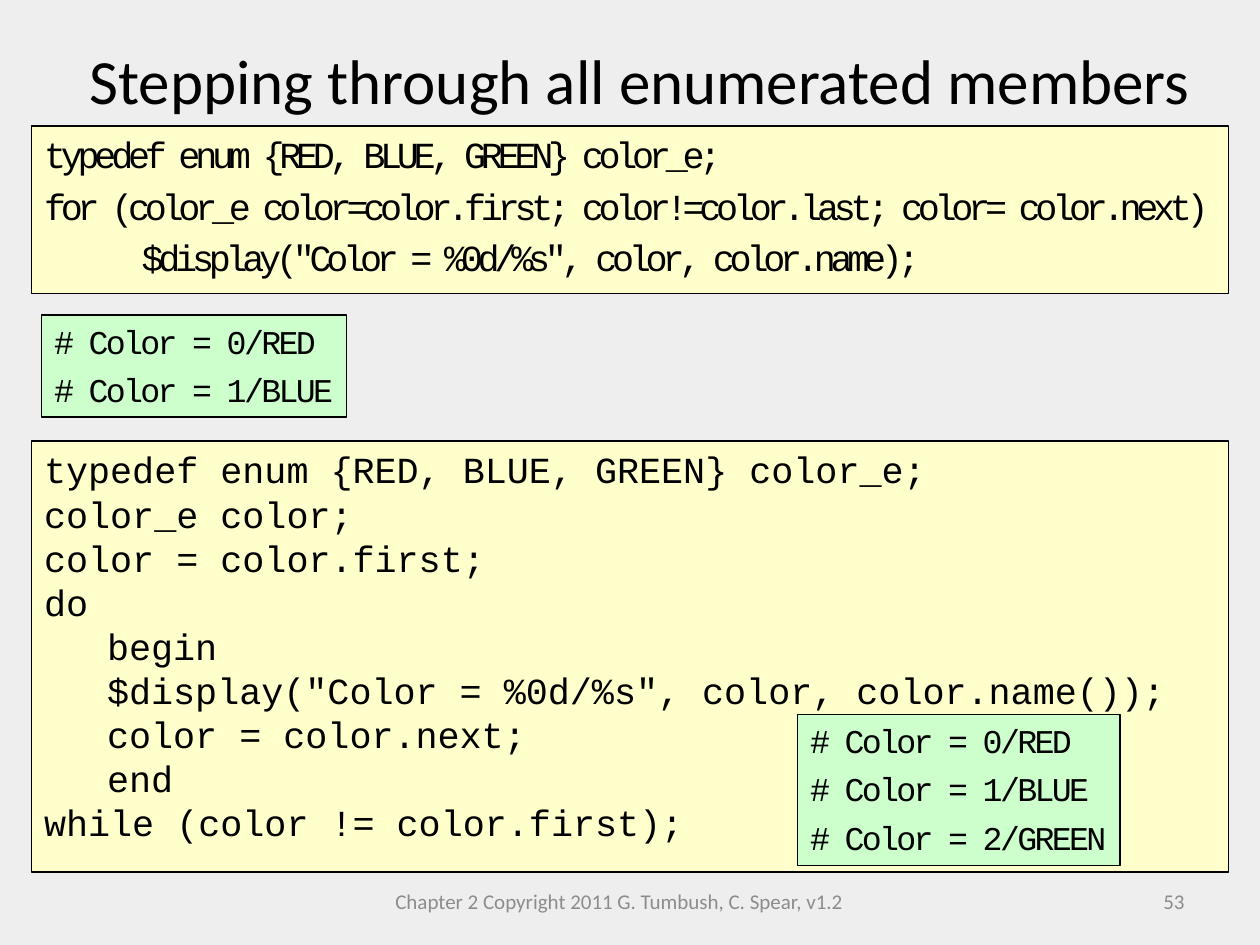
from pptx import Presentation
from pptx.dml.color import RGBColor
from pptx.enum import shapes, text
from pptx.util import Cm, Pt

COLORS = {
    "background": "EEEEEE",
    "code": "FFFFCC",
    "output": "CCFFCC",
    "ink": "000000",
    "footer": "8C8C8C",
}
CODE_FONT = "Courier New"
TEXT_FONT = "Calibri"
ENUM_LINE = "typedef enum {RED, BLUE, GREEN} color_e;"
FOR_LOOP = [
    ENUM_LINE,
    "for (color_e color=color.first; color!=color.last; color= color.next)",
    "\t   $display(\"Color = %0d/%s\", color, color.name);",
]
DO_LOOP = [
    (ENUM_LINE, 0),
    ("color_e color;", 0),
    ("color = color.first;", 0),
    ("do", 0),
    ("begin", 1),
    ("$display(\"Color = %0d/%s\", color, color.name());", 1),
    ("color = color.next;", 1),
    ("end", 1),
    ("while (color != color.first);", 0),
]
OUTPUT = ["# Color = 0/RED", "# Color = 1/BLUE", "# Color = 2/GREEN"]


def color(name):
    return RGBColor.from_string(COLORS[name])


def add_run(paragraph, words, size, font=TEXT_FONT, ink="ink", tracking=0):
    run = paragraph.add_run()
    run.text = words
    run.font.name = font
    run.font.size = Pt(size)
    run.font.color.rgb = color(ink)
    if tracking:
        run._r.get_or_add_rPr().set("spc", str(int(tracking * 100)))


def set_title(slide, words):
    title = slide.shapes.title
    title.left, title.top, title.width, title.height = Cm(1.47), Cm(0), Cm(22.86), Cm(3.18)
    frame = title.text_frame
    frame.auto_size = text.MSO_AUTO_SIZE.NONE
    frame.vertical_anchor = text.MSO_ANCHOR.MIDDLE
    paragraph = frame.paragraphs[0]
    paragraph.alignment = text.PP_ALIGN.CENTER
    add_run(paragraph, words, 36)


def add_panel(slide, left, top, width, height, fill):
    panel = slide.shapes.add_shape(
        shapes.MSO_SHAPE.RECTANGLE, Cm(left), Cm(top), Cm(width), Cm(height))
    panel.shadow.inherit = False
    panel.fill.solid()
    panel.fill.fore_color.rgb = color(fill)
    panel.line.color.rgb = color("ink")
    panel.line.width = Pt(0.75)
    frame = panel.text_frame
    frame.word_wrap = True
    frame.vertical_anchor = text.MSO_ANCHOR.TOP
    return frame


def add_lines(frame, lines, size, tracking=0, gap=0, hanging=0):
    for index, (words, level) in enumerate(lines):
        paragraph = frame.add_paragraph() if index else frame.paragraphs[0]
        paragraph.alignment = text.PP_ALIGN.LEFT
        paragraph.level = level
        paragraph.space_before = Pt(gap if index else 0)
        properties = paragraph._p.get_or_add_pPr()
        properties.set("marL", str(Cm(1.27 * level + hanging)))
        properties.set("indent", str(-Cm(hanging)))
        add_run(paragraph, words, size, CODE_FONT, tracking=tracking)


def add_output(slide, left, top, width, height, lines):
    frame = add_panel(slide, left, top, width, height, "output")
    frame.word_wrap = False
    frame.auto_size = text.MSO_AUTO_SIZE.SHAPE_TO_FIT_TEXT
    add_lines(frame, [(line, 0) for line in lines], 19, tracking=-1.5, gap=4.8)


def add_footer(slide, left, width, words, alignment):
    box = slide.shapes.add_textbox(Cm(left), Cm(17.65), Cm(width), Cm(1.02))
    frame = box.text_frame
    frame.word_wrap = True
    frame.vertical_anchor = text.MSO_ANCHOR.MIDDLE
    paragraph = frame.paragraphs[0]
    paragraph.alignment = alignment
    add_run(paragraph, words, 12, ink="footer")


def main():
    presentation = Presentation()
    presentation.slide_width, presentation.slide_height = Cm(25.4), Cm(19.05)
    slide = presentation.slides.add_slide(presentation.slide_layouts[5])
    slide.background.fill.solid()
    slide.background.fill.fore_color.rgb = color("background")

    set_title(slide, "Stepping through all enumerated members")
    for_panel = add_panel(slide, 0.64, 2.54, 24.13, 3.38, "code")
    add_lines(for_panel, [(line, 0) for line in FOR_LOOP], 21,
              tracking=-3, gap=4.2, hanging=0.95)
    add_footer(slide, 18.21, 5.92, "53", text.PP_ALIGN.RIGHT)
    add_footer(slide, 7.62, 9.73, "Chapter 2 Copyright 2011 G. Tumbush, C. Spear, v1.2",
               text.PP_ALIGN.CENTER)
    add_output(slide, 0.84, 6.35, 6.15, 2.06, OUTPUT[:2])
    do_panel = add_panel(slide, 0.64, 8.89, 24.13, 8.69, "code")
    add_lines(do_panel, DO_LOOP, 21)
    add_output(slide, 16.08, 14.4, 6.5, 3.05, OUTPUT)

    presentation.save("out.pptx")


if __name__ == "__main__":
    main()
